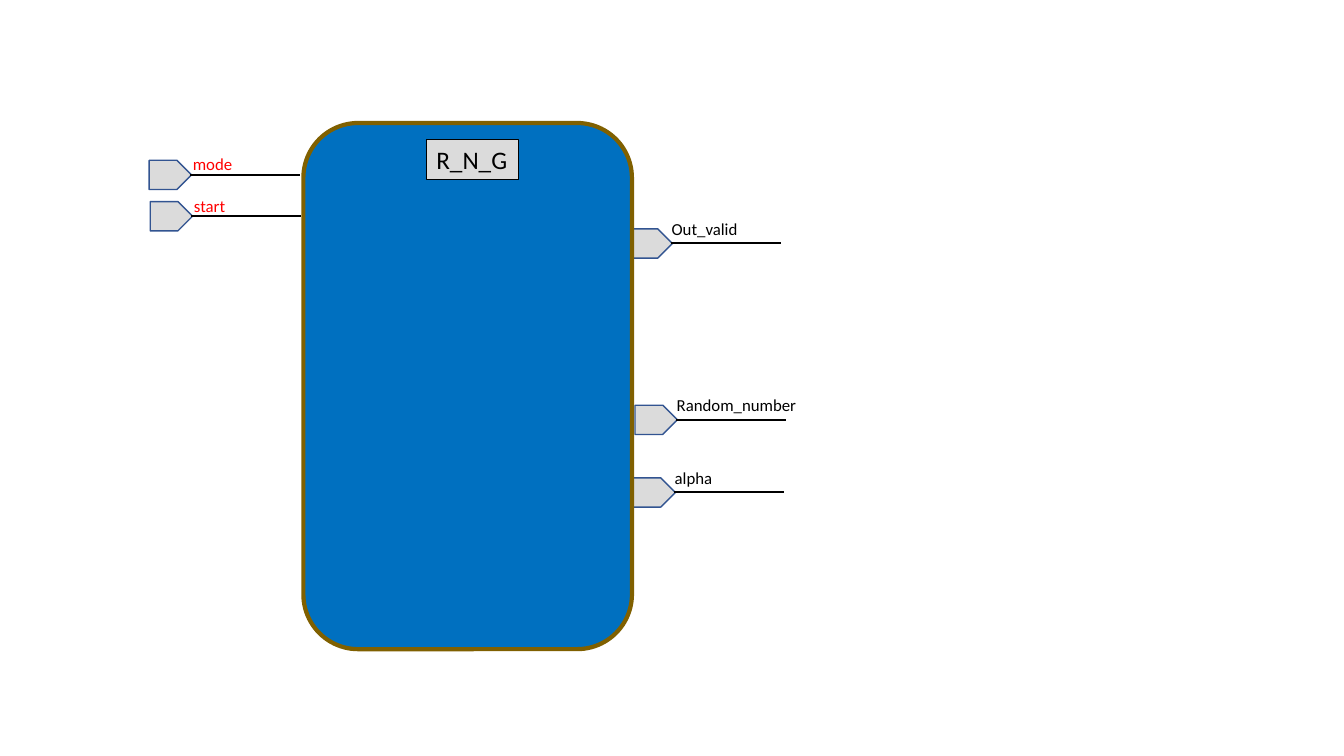
from dataclasses import dataclass

from lxml import etree
from pptx import Presentation, util as u
from pptx.dml.color import RGBColor
from pptx.enum import shapes, text
from pptx.oxml import ns

SLIDE_COLS, SLIDE_ROWS = 133.33, 75
CELL = u.Inches(0.1)


@dataclass(frozen=True)
class Theme:
    font: str = "Calibri"
    label_size: float = 12
    name_size: float = 18
    ink: str = "000000"
    input_ink: str = "FF0000"
    tag_fill: str = "DBDBDB"
    tag_line: str = "325491"
    block_fill: str = "0070C0"
    block_line: str = "806000"


@dataclass(frozen=True)
class Box:
    """An area in grid columns and rows."""
    col: float
    row: float
    cols: float
    rows: float

    def emu(self) -> list[int]:
        return [cells(n) for n in (self.col, self.row, self.cols, self.rows)]


@dataclass(frozen=True)
class Port:
    label: str
    col: float
    row: float
    label_cols: float
    is_input: bool = False


THEME = Theme()
BLOCK = Box(30.1, 12.2, 32.6, 52.2)
NAME_PLATE = Box(42.3, 13.8, 9.1, 4)
TAG_COLS, TAG_ROWS = 4.2, 2.9
WIRE_START, WIRE_COLS = 4.05, 10.9
LABEL_ROWS = 3
PORTS = [
    Port("Random_number", 63, 40.2, 14),
    Port("alpha", 62.8, 47.4, 5.8),
    Port("mode", 14.8, 15.9, 6, is_input=True),
    Port("Out_valid", 62.5, 22.7, 8.6),
    Port("start", 14.9, 20, 5.2, is_input=True),
]


def cells(n: float) -> int:
    return round(n * CELL)


def rgb(color: str) -> RGBColor:
    return RGBColor.from_string(color)


def add_outlined(s, kind, box: Box, fill: str, line: str, width: float):
    sp = s.shapes.add_shape(kind, *box.emu())
    sp.shadow.inherit = False
    sp.fill.solid()
    sp.fill.fore_color.rgb = rgb(fill)
    sp.line.color.rgb = rgb(line)
    sp.line.width = u.Pt(width)
    return sp


def write(sp, words: str, size: float, color: str, align) -> None:
    tf = sp.text_frame
    frame_format = {"word_wrap": False,
                    "auto_size": text.MSO_AUTO_SIZE.SHAPE_TO_FIT_TEXT,
                    "vertical_anchor": text.MSO_ANCHOR.TOP}
    for key, value in frame_format.items():
        setattr(tf, key, value)
    p = tf.paragraphs[0]
    p.alignment = align
    r = p.add_run()
    r.text = words
    for key, value in {"name": THEME.font, "size": u.Pt(size)}.items():
        setattr(r.font, key, value)
    r.font.color.rgb = rgb(color)


def add_wire(s, col: float, row: float) -> None:
    wire = s.shapes.add_connector(
        shapes.MSO_CONNECTOR.STRAIGHT,
        cells(col + WIRE_COLS), cells(row), cells(col), cells(row))
    wire.line.color.rgb = rgb(THEME.ink)
    wire.line.width = u.Pt(1.5)
    etree.SubElement(wire.element.spPr, ns.qn("a:effectLst"))


def add_port(s, port: Port) -> None:
    """Draw a port's tag, its wire and its label above the wire."""
    add_outlined(s, shapes.MSO_SHAPE.PENTAGON,
                 Box(port.col, port.row, TAG_COLS, TAG_ROWS),
                 THEME.tag_fill, THEME.tag_line, 1)
    add_wire(s, port.col + WIRE_START, port.row + TAG_ROWS / 2)
    shift, rise = (3.35, 1.1) if port.is_input else (3.15, 1.5)
    box = Box(port.col + shift, port.row - rise, port.label_cols, LABEL_ROWS)
    write(s.shapes.add_textbox(*box.emu()), port.label, THEME.label_size,
          THEME.input_ink if port.is_input else THEME.ink, text.PP_ALIGN.LEFT)


def main() -> None:
    prs = Presentation()
    prs.slide_width, prs.slide_height = cells(SLIDE_COLS), cells(SLIDE_ROWS)
    s = prs.slides.add_slide(prs.slide_layouts[6])
    for port in PORTS:
        add_port(s, port)
    add_outlined(s, shapes.MSO_SHAPE.ROUNDED_RECTANGLE, BLOCK,
                 THEME.block_fill, THEME.block_line, 3)
    plate = add_outlined(s, shapes.MSO_SHAPE.RECTANGLE, NAME_PLATE,
                         THEME.tag_fill, THEME.ink, 0.75)
    write(plate, "R_N_G", THEME.name_size, THEME.ink, text.PP_ALIGN.LEFT)
    prs.save("out.pptx")


if __name__ == "__main__":
    main()
